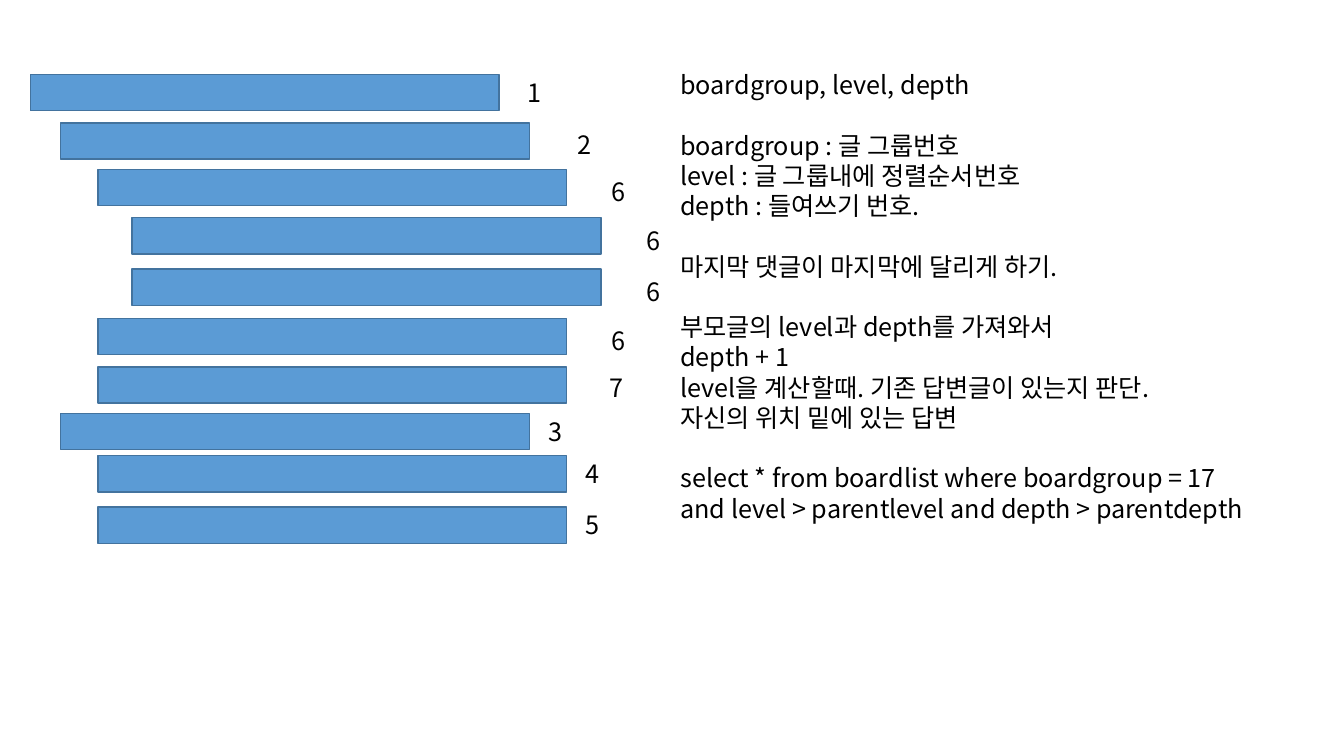
from dataclasses import dataclass

from pptx import Presentation
from pptx import util as u
from pptx.dml.color import RGBColor
from pptx.enum import shapes, text
from pptx.oxml.ns import qn
from lxml import etree

# Content: reply depth, bar top, number, number left, number top
REPLIES = [
    (0, 0.74, "1", 5.13, 0.72),
    (1, 1.22, "2", 5.63, 1.23),
    (2, 1.68, "6", 5.97, 1.70),
    (3, 2.16, "6", 6.31, 2.19),
    (3, 2.67, "6", 6.31, 2.69),
    (2, 3.16, "6", 5.97, 3.18),
    (2, 3.64, "7", 5.95, 3.64),
    (1, 4.10, "3", 5.34, 4.08),
    (2, 4.52, "4", 5.71, 4.50),
    (2, 5.03, "5", 5.71, 5.00),
]
NOTE_GROUPS = [
    ["boardgroup, level, depth"],
    [
        "boardgroup : 글 그룹번호",
        "level : 글 그룹내에 정렬순서번호",
        "depth : 들여쓰기 번호.",
    ],
    ["마지막 댓글이 마지막에 달리게 하기."],
    [
        "부모글의 level과 depth를 가져와서",
        "depth + 1",
        "level을 계산할때. 기존 답변글이 있는지 판단.",
        "자신의 위치 밑에 있는 답변",
    ],
    [
        "select * from boardlist where boardgroup = 17",
        "and level > parentlevel and depth > parentdepth",
    ],
]
DEPTH_LEFTS = (0.3, 0.6, 0.97, 1.31)
BAR_SIZE = (4.65, 0.36)
NUMBER_SIZE = (0.34, 0.4)
NOTES_AREA = (6.65, 0.64, 5.87, 4.95)


@dataclass(frozen=True)
class Theme:
    font: str = "Noto Sans CJK KR"
    size: u.Pt = u.Pt(18)
    group_gap: u.Pt = u.Pt(21.6)
    ink: RGBColor = RGBColor(0x00, 0x00, 0x00)
    bar: RGBColor = RGBColor(0x5B, 0x9B, 0xD5)
    edge: RGBColor = RGBColor(0x43, 0x73, 0x9E)
    edge_width: u.Pt = u.Pt(1)


THEME = Theme()


def add_bar(page, left, top):
    bar = page.shapes.add_shape(
        shapes.MSO_SHAPE.RECTANGLE, *map(u.Inches, (left, top, *BAR_SIZE)))
    bar.shadow.inherit = False
    bar.fill.solid()
    bar.fill.fore_color.rgb = THEME.bar
    bar.line.color.rgb = THEME.edge
    bar.line.width = THEME.edge_width


def add_text(page, area, groups):
    """Write groups of lines, with one line of space between groups."""
    box = page.shapes.add_textbox(*map(u.Inches, area))
    frame = box.text_frame
    frame.word_wrap = False
    frame.auto_size = text.MSO_AUTO_SIZE.SHAPE_TO_FIT_TEXT
    frame.text = "\n".join(line for group in groups for line in group)
    paragraphs = iter(frame.paragraphs)
    for number, group in enumerate(groups):
        for position in range(len(group)):
            para = next(paragraphs)
            if number and position == 0:
                para.space_before = THEME.group_gap
            for span in para.runs:
                span.font.size = THEME.size
                span.font.color.rgb = THEME.ink
                span.font.name = THEME.font
                # Korean letters take the East Asian font
                east = etree.SubElement(span.font._element, qn("a:ea"))
                east.set("typeface", THEME.font)


def main():
    deck = Presentation()
    deck.slide_width, deck.slide_height = u.Inches(13.33), u.Inches(7.5)
    page = deck.slides.add_slide(deck.slide_layouts[6])

    # Notes on the right
    add_text(page, NOTES_AREA, NOTE_GROUPS)

    # Indented replies with their order numbers
    for depth, bar_top, number, number_left, number_top in REPLIES:
        add_bar(page, DEPTH_LEFTS[depth], bar_top)
        add_text(page, (number_left, number_top, *NUMBER_SIZE), [[number]])

    deck.save("out.pptx")


if __name__ == "__main__":
    main()
